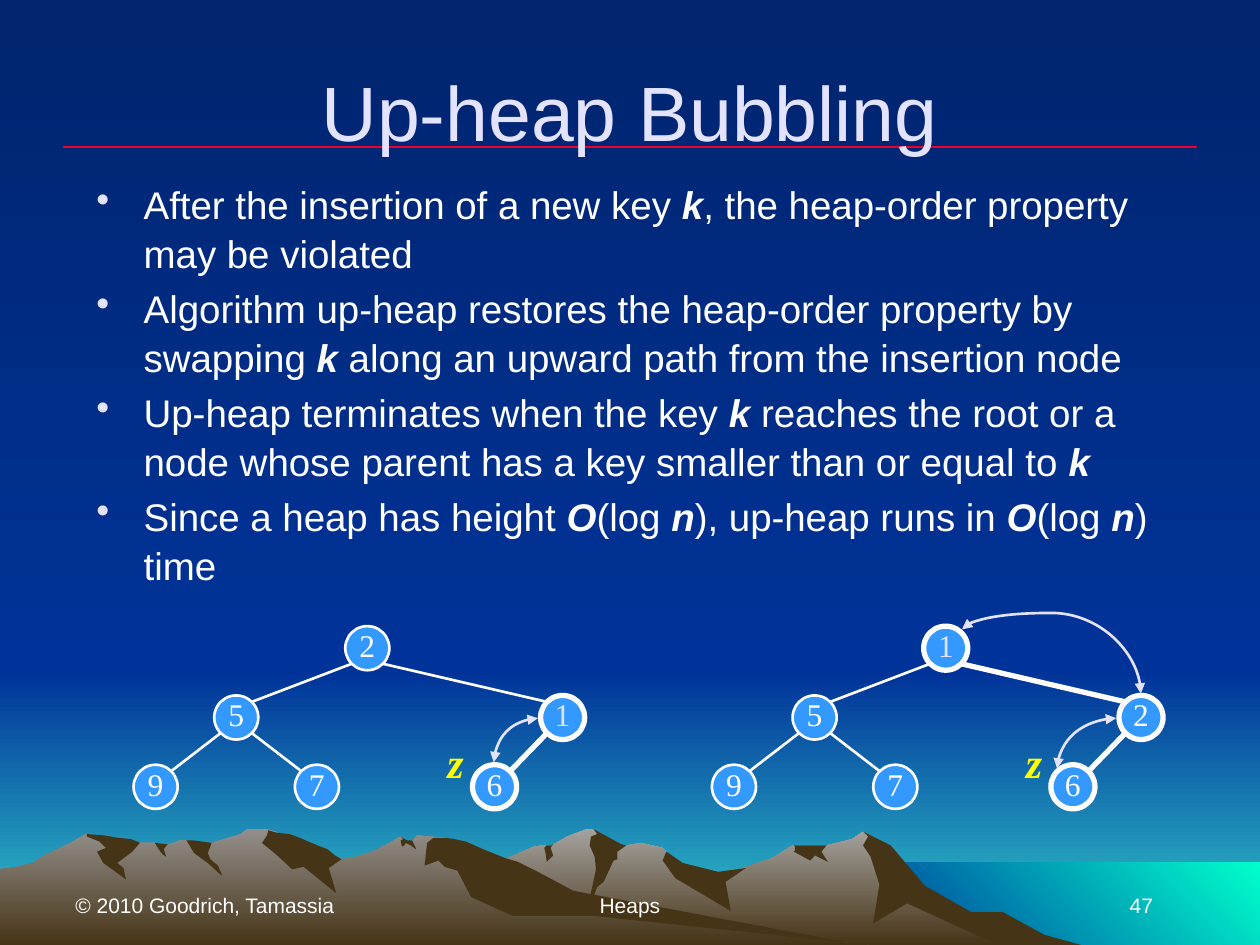
from dataclasses import dataclass

from pptx import Presentation
from pptx.dml.color import RGBColor
from pptx.enum.shapes import MSO_CONNECTOR as Conn, MSO_SHAPE as Shape
from pptx.enum.text import MSO_ANCHOR as Anchor, PP_ALIGN as Align
from pptx.oxml.ns import qn
from pptx.util import Pt
from lxml.etree import SubElement


@dataclass(frozen=True)
class Theme:
    sans: str = "Arial"
    serif: str = "Times New Roman"
    title: int = 44
    body: int = 22
    footer: int = 12
    key: int = 18
    label: int = 24
    text: str = "FFFFFF"
    pale: str = "E3E3FF"
    mark: str = "FFFF00"
    rule: str = "EF0129"
    node: str = "3399FF"
    night: str = "00246D"
    blue: str = "003399"
    haze: str = "33CCCC"
    sea: str = "00FFCC"
    rock: str = "463416"
    far_peak: str = "A5A29F"
    near_peak: str = "938F8B"


T = Theme()

# Outlines are x,y pairs on a grid of hundredths of an inch.
GRID = Pt(0.72)
FAR_RANGE = """802,740 778,727 764,723 723,698 702,671 685,660 676,666 656,671 629,671
    613,681 566,697 536,690 529,676 526,673 509,669 497,671 486,673 474,661 471,658
    465,658 450,664 438,671 430,671 424,672 412,677 399,683 394,685 355,698 327,709
    277,739 258,750 820,750"""
FAR_SHADES = [
    """796,724 771,724 734,703 707,671 685,660 689,664 685,671 691,680 698,702 693,733
    720,717 792,750 858,750 829,742""",
    """471,658 474,662 469,664 468,671 472,680 473,690 465,727 474,704 479,700 487,683
    490,682 490,676 497,671 493,670""",
    "529,676 528,678 526,683 536,697 580,723 576,700 592,689 570,692 542,685",
    "650,671 630,671 631,672 631,675 630,676 643,683 647,679 657,684 652,676 656,671",
    "433,677 432,673 434,671 438,671 439,670 437,673 439,679 434,684",
]
NEAR_RANGE = """690,750 667,748 432,712 354,665 331,663 327,668 323,668 318,664 296,676
    279,681 271,682 260,676 236,681 223,663 219,660 212,658 196,658 191,662 178,666
    168,669 160,671 148,667 143,667 132,671 128,671 123,669 111,669 94,671 68,662
    56,669 46,674 35,679 26,685 14,688 0,690 0,750"""
NEAR_SHADES = [
    """212,663 208,669 219,678 232,690 241,688 267,709 261,689 271,682 266,679 260,674
    252,671 238,665 230,662 220,661 213,659""",
    """370,668 361,666 354,665 344,665 339,669 337,687 348,683 353,688 363,691 374,712
    407,727 472,727 690,750 683,750 455,707 427,692 411,684 401,681 386,675""",
    """318,667 320,666 318,664 323,667 327,667 330,673 330,674 326,671 322,669 321,671
    319,672""",
    """154,667 161,668 168,669 165,677 167,682 173,687 176,694 176,695 165,685 154,677
    148,667""",
    "133,670 130,674 132,680 129,678 126,674 123,669",
    """109,668 111,669 105,676 93,685 98,689 100,698 82,685 77,676 84,673 79,668 69,664
    69,662 82,663 94,665 104,666""",
]

BULLETS = [  # asterisks enclose the variables
    "After the insertion of a new key *k*, the heap-order property may be violated",
    "Algorithm up-heap restores the heap-order property by swapping *k* along an "
    "upward path from the insertion node",
    "Up-heap terminates when the key *k* reaches the root or a node whose parent has "
    "a key smaller than or equal to *k*",
    "Since a heap has height *O*(log *n*), up-heap runs in *O*(log *n*) time",
]

NODE_SIZE = 25.2
DIAGONAL = NODE_SIZE / 2 * 0.5 ** 0.5
# Node centres in level order, so node i has the parent (i - 1) // 2.
CENTRES = [(209.9, 370.4), (135, 410), (321.5, 410),
           (88.9, 449.6), (181.1, 449.6), (282.6, 449.6)]


def rgb(color):
    return RGBColor.from_string(color)


def paint(fill, colors, angle=270):
    """Fill with one colour, or with a gradient between two."""
    if isinstance(colors, str):
        fill.solid()
        fill.fore_color.rgb = rgb(colors)
        return
    fill.gradient()
    fill.gradient_angle = angle
    for stop, color in zip(fill.gradient_stops, colors):
        stop.color.rgb = rgb(color)


def add_band(slide, x, y, w, h, colors, angle=270):
    sp = slide.shapes.add_shape(Shape.RECTANGLE, Pt(x), Pt(y), Pt(w), Pt(h))
    sp.shadow.inherit = False
    sp.line.fill.background()
    paint(sp.fill, colors, angle)


def add_outline(slide, outline, colors):
    points = [tuple(map(int, pair.split(","))) for pair in outline.split()]
    builder = slide.shapes.build_freeform(*points[0], scale=GRID)
    builder.add_line_segments(points[1:], close=True)
    sp = builder.convert_to_shape()
    sp.shadow.inherit = False
    sp.line.fill.background()
    paint(sp.fill, colors)


def add_run(p, text, size, color=T.text, font=T.sans, strong=False):
    r = p.add_run()
    r.text = text
    r.font.name, r.font.size = font, Pt(size)
    r.font.color.rgb = rgb(color)
    r.font.bold = r.font.italic = strong


def add_box(slide, x, y, w, h, anchor=Anchor.TOP, wrap=True):
    tf = slide.shapes.add_textbox(Pt(x), Pt(y), Pt(w), Pt(h)).text_frame
    tf.word_wrap, tf.vertical_anchor = wrap, anchor
    return tf


def add_footer(slide, x, w, text, align):
    p = add_box(slide, x, 492, w, 36, Anchor.BOTTOM).paragraphs[0]
    p.alignment = align
    add_run(p, text, T.footer)


def add_bullets(slide):
    tf = add_box(slide, 48, 98.6, 636, 192)
    for i, text in enumerate(BULLETS):
        p = tf.add_paragraph() if i else tf.paragraphs[0]
        p.line_spacing = 1.06
        p.space_before = Pt(3.4 if i else 0)
        pPr = p._p.get_or_add_pPr()
        pPr.set("marL", str(Pt(27)))
        pPr.set("indent", str(-Pt(27)))
        SubElement(SubElement(pPr, qn("a:buClr")), qn("a:srgbClr"), val=T.pale)
        SubElement(pPr, qn("a:buChar"), char="•")
        for j, part in enumerate(text.split("*")):
            if part:
                add_run(p, part, T.body, strong=j % 2 == 1)


def add_line(slide, start, end, color, width, kind=Conn.STRAIGHT, arrows=False):
    cx = slide.shapes.add_connector(kind, *map(Pt, start + end))
    cx.line.color.rgb, cx.line.width = rgb(color), Pt(width)
    spPr = cx.element.spPr
    if arrows:
        for tag in ("a:headEnd", "a:tailEnd"):
            SubElement(spPr.get_or_add_ln(), qn(tag), type="triangle")
    SubElement(spPr, qn("a:effectLst"))
    return cx


def add_swap(slide, start, end):
    """Draw a quarter-turn double arrow and return its connector."""
    cx = add_line(slide, start, end, T.pale, 1.5, Conn.CURVE, arrows=True)
    cx.element.spPr.find(qn("a:prstGeom")).set("prst", "curvedConnector2")
    return cx


def add_root_swap(slide):
    """Draw the double arrow that loops over the root of the second heap."""
    cx = add_line(slide, (619.2, 326.9), (582.5, 429.1), T.pale, 1.5, Conn.CURVE, True)
    spPr = cx.element.spPr
    spPr.find(qn("a:xfrm")).set("rot", str(90 * 60000))
    guides = spPr.find(qn("a:prstGeom")).get_or_add_avLst()
    SubElement(guides, qn("a:gd"), name="adj1", fmla="val 125600")


def add_node(slide, x, y, key, width):
    corner = Pt(x - NODE_SIZE / 2), Pt(y - NODE_SIZE / 2)
    sp = slide.shapes.add_shape(Shape.OVAL, *corner, Pt(NODE_SIZE), Pt(NODE_SIZE))
    sp.shadow.inherit = False
    paint(sp.fill, T.node)
    sp.line.color.rgb, sp.line.width = rgb(T.text), Pt(width)
    tf = sp.text_frame
    tf.word_wrap, tf.vertical_anchor = False, Anchor.MIDDLE
    tf.margin_left = tf.margin_top = tf.margin_right = 0
    tf.margin_bottom = Pt(3.6)
    tf.paragraphs[0].alignment = Align.CENTER
    add_run(tf.paragraphs[0], key, T.key, T.pale if key == "1" else T.text, T.serif)


def add_heap(slide, dx, keys, swapped):
    """Draw a heap; nodes and edges on the swapped path are thick."""
    for i, (key, (x, y)) in enumerate(zip(keys, CENTRES)):
        add_node(slide, x + dx, y, key, 3 if key in swapped else 1.5)
        if i:
            parent = (i - 1) // 2
            px, py = CENTRES[parent]
            side = DIAGONAL if x > px else -DIAGONAL
            thick = key in swapped and keys[parent] in swapped
            add_line(slide, (px + dx + side, py + DIAGONAL),
                     (x + dx - side, y - DIAGONAL), T.text, 3 if thick else 1.5)
    p = add_box(slide, 248.6 + dx, 417.6, 23.8, 36, wrap=False).paragraphs[0]
    add_run(p, "z", T.label, T.mark, T.serif, strong=True)


def add_landscape(slide):
    paint(slide.background.fill, (T.night, T.blue))
    add_band(slide, 0, 384, 720, 156, (T.blue, T.haze))
    add_band(slide, 0, 0, 720, 384, (T.night, T.blue))
    add_band(slide, 492, 493, 228, 47, (T.blue, T.sea), angle=45)
    for outline, top, shades in ((FAR_RANGE, T.far_peak, FAR_SHADES),
                                 (NEAR_RANGE, T.near_peak, NEAR_SHADES)):
        add_outline(slide, outline, (top, T.rock))
        for shade in shades:
            add_outline(slide, shade, T.rock)


def main():
    prs = Presentation()
    prs.slide_width, prs.slide_height = Pt(720), Pt(540)
    s = prs.slides.add_slide(prs.slide_layouts[6])
    add_landscape(s)
    add_line(s, (36, 84), (684, 84), T.rule, 0.75)
    p = add_box(s, 36, 18, 648, 90, Anchor.MIDDLE).paragraphs[0]
    p.alignment = Align.CENTER
    add_run(p, "Up-heap Bubbling", T.title, T.pale)
    add_bullets(s)
    add_heap(s, 0, "251976", "16")
    add_heap(s, 330.5, "152976", "126")
    add_root_swap(s)
    add_swap(s, (637.9, 410.4), (604.1, 439.2))
    add_swap(s, (307.4, 410.4), (282.2, 435.6))
    add_footer(s, 36, 168, "© 2010 Goodrich, Tamassia", Align.LEFT)
    add_footer(s, 246, 228, "Heaps", Align.CENTER)
    add_footer(s, 516, 150, "47", Align.RIGHT)
    prs.save("out.pptx")


if __name__ == "__main__":
    main()
